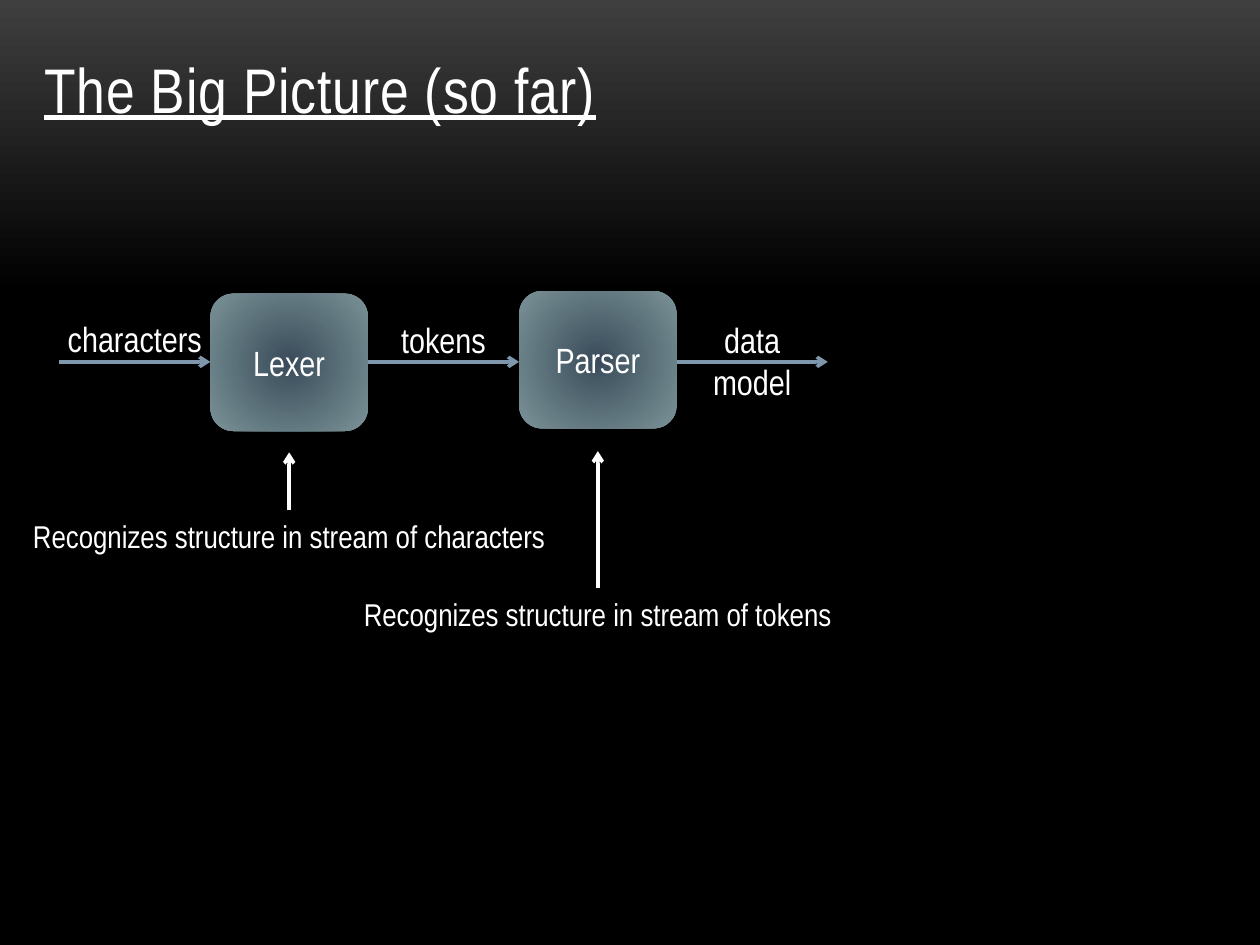
from lxml import etree
from pptx import Presentation
from pptx.dml.color import RGBColor
from pptx.enum.shapes import MSO_CONNECTOR, MSO_SHAPE
from pptx.enum.text import MSO_ANCHOR, MSO_AUTO_SIZE, PP_ALIGN
from pptx.oxml import parse_xml
from pptx.oxml.ns import nsdecls, qn
from pptx.util import Pt

STRAIGHT = MSO_CONNECTOR.STRAIGHT
ROUNDED = MSO_SHAPE.ROUNDED_RECTANGLE
CENTER, LEFT = PP_ALIGN.CENTER, PP_ALIGN.LEFT
MIDDLE, TOP, BOTTOM = MSO_ANCHOR.MIDDLE, MSO_ANCHOR.TOP, MSO_ANCHOR.BOTTOM

FONT = "Arial Narrow"
COLORS = {"text": "FFFFFF", "flow": "7E97AD", "core": "3A4C5B", "rim": "7B9397",
          "glow": "3F3F3F", "night": "000000"}

TITLE = "The Big Picture (so far)"
# Lines of each flow label, with label width, top and height
FLOWS = [
    (["characters"], 92.2, 177.8, 31.5),
    (["tokens"], 63.4, 178.6, 31.5),
    (["data", "model"], 59.8, 178.6, 55.7),
]
# Stage, its top, its note, note width, note top, arrow tip
STAGES = [
    ("Lexer", 167.8, "Recognizes structure in stream of characters", 315.4, 291.6, 258.5),
    ("Parser", 166.3, "Recognizes structure in stream of tokens", 290.2, 336.2, 257.8),
]
FLOW_LEFT, FLOW_Y, FLOW_LENGTH = 33.84, 206.8, 86.4
STAGE_WIDTH, STAGE_HEIGHT, NOTE_HEIGHT = 90, 78.5, 29.1
PITCH = FLOW_LENGTH + STAGE_WIDTH


def gradient(stops, direction):
    """Return a gradient fill element from (percent, colour) stops."""
    marks = "".join(f'<a:gs pos="{percent * 1000}"><a:srgbClr val="{COLORS[color]}"/></a:gs>'
                    for percent, color in stops)
    return parse_xml(f'<a:gradFill {nsdecls("a")} rotWithShape="1">'
                     f'<a:gsLst>{marks}</a:gsLst>{direction}</a:gradFill>')


def write(shape, lines, size, align=CENTER, anchor=TOP):
    """Fill a shape with one paragraph per line."""
    frame = shape.text_frame
    frame.vertical_anchor = anchor
    for index, line in enumerate(lines):
        paragraph = frame.add_paragraph() if index else frame.paragraphs[0]
        paragraph.alignment = align
        run = paragraph.add_run()
        run.text = line
        run.font.name, run.font.size = FONT, Pt(size)
        run.font.color.rgb = RGBColor.from_string(COLORS["text"])


def add_label(slide, lines, size, center, top, width, height):
    """Add an unwrapped text box centred on a given x."""
    label = slide.shapes.add_textbox(Pt(center - width / 2), Pt(top), Pt(width), Pt(height))
    label.text_frame.word_wrap = False
    write(label, lines, size)


def add_arrow(slide, start, end, color):
    """Draw a straight arrow between two points."""
    arrow = slide.shapes.add_connector(STRAIGHT, *(Pt(value) for value in start + end))
    arrow.line.width = Pt(2)
    arrow.line.color.rgb = RGBColor.from_string(COLORS[color])
    etree.SubElement(arrow.line._get_or_add_ln(), qn("a:tailEnd"), type="arrow")
    etree.SubElement(arrow._element.spPr, qn("a:effectLst"))


def add_stage(slide, name, left, top):
    """Add a rounded box with a radial gradient."""
    stage = slide.shapes.add_shape(ROUNDED, Pt(left), Pt(top), Pt(STAGE_WIDTH), Pt(STAGE_HEIGHT))
    stage.shadow.inherit = False
    stage.line.fill.background()
    radial = ('<a:path path="circle"><a:fillToRect l="50000" t="50000" r="50000" b="50000"/>'
              '</a:path>')
    outline = stage._element.spPr.find(qn("a:prstGeom"))
    outline.addnext(gradient([(0, "core"), (100, "rim")], radial))
    write(stage, [name], 20, anchor=MIDDLE)


def set_background(slide):
    """Fade the background from grey at the top to black."""
    slide.background.fill.solid()
    solid = next(slide._element.iter(qn("a:solidFill")))
    fade = gradient([(0, "glow"), (31, "night"), (100, "night")],
                    '<a:lin ang="5400000" scaled="0"/>')
    solid.getparent().replace(solid, fade)


def add_title(slide):
    """Place and format the title placeholder."""
    title = slide.shapes.title
    title.left, title.top, title.width, title.height = Pt(18), Pt(18), Pt(642.2), Pt(57.6)
    title.text_frame.auto_size = MSO_AUTO_SIZE.NONE
    write(title, [TITLE], 36, LEFT, BOTTOM)
    font = title.text_frame.paragraphs[0].runs[0].font
    font.underline = True
    font._element.set("spc", "50")


prs = Presentation()
prs.slide_width, prs.slide_height = Pt(720), Pt(540)
slide = prs.slides.add_slide(prs.slide_layouts[5])
set_background(slide)
add_title(slide)

for index, (name, top, note, note_width, note_top, tip) in enumerate(STAGES):
    left = FLOW_LEFT + FLOW_LENGTH + index * PITCH
    center = left + STAGE_WIDTH / 2
    add_stage(slide, name, left, top)
    add_label(slide, [note], 18, center, note_top, note_width, NOTE_HEIGHT)
    add_arrow(slide, (center, note_top), (center, tip), "text")

for index, (lines, width, top, height) in enumerate(FLOWS):
    left = FLOW_LEFT + index * PITCH
    add_arrow(slide, (left, FLOW_Y), (left + FLOW_LENGTH, FLOW_Y), "flow")
    add_label(slide, lines, 20, left + FLOW_LENGTH / 2, top, width, height)

prs.save("out.pptx")
